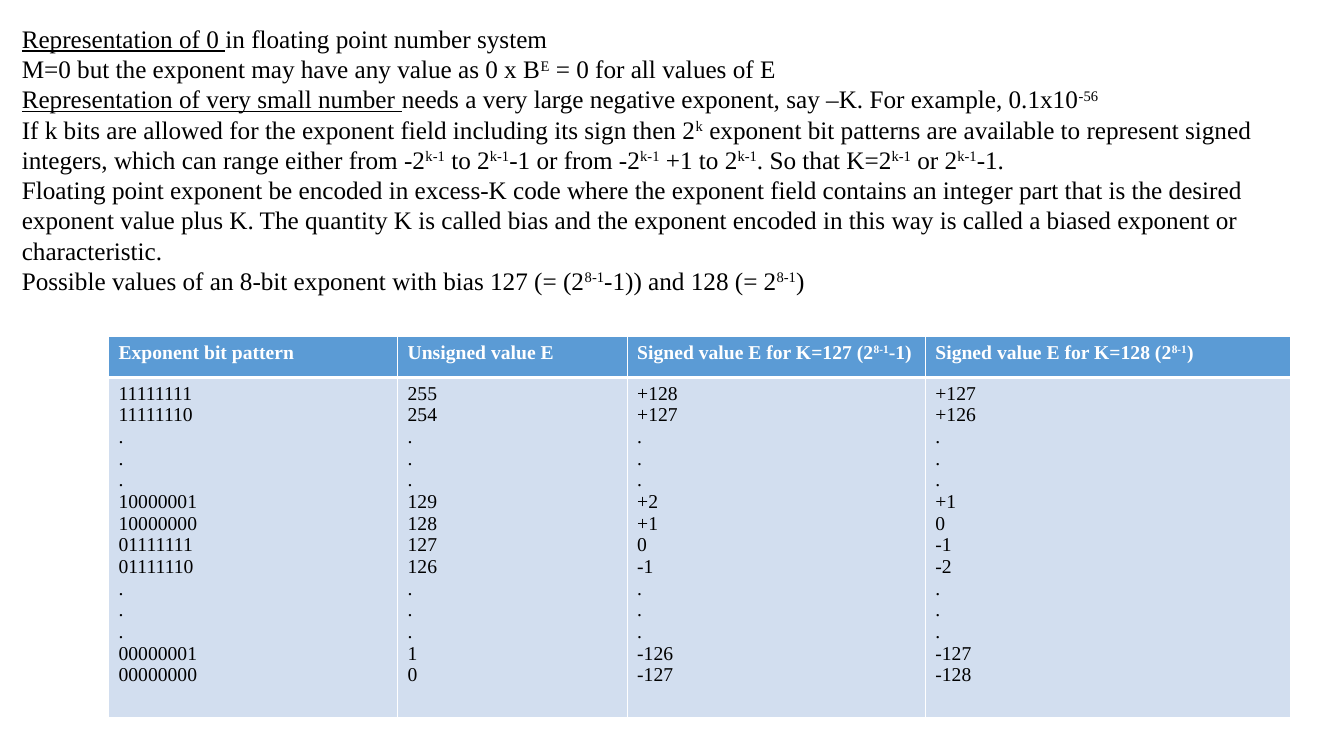
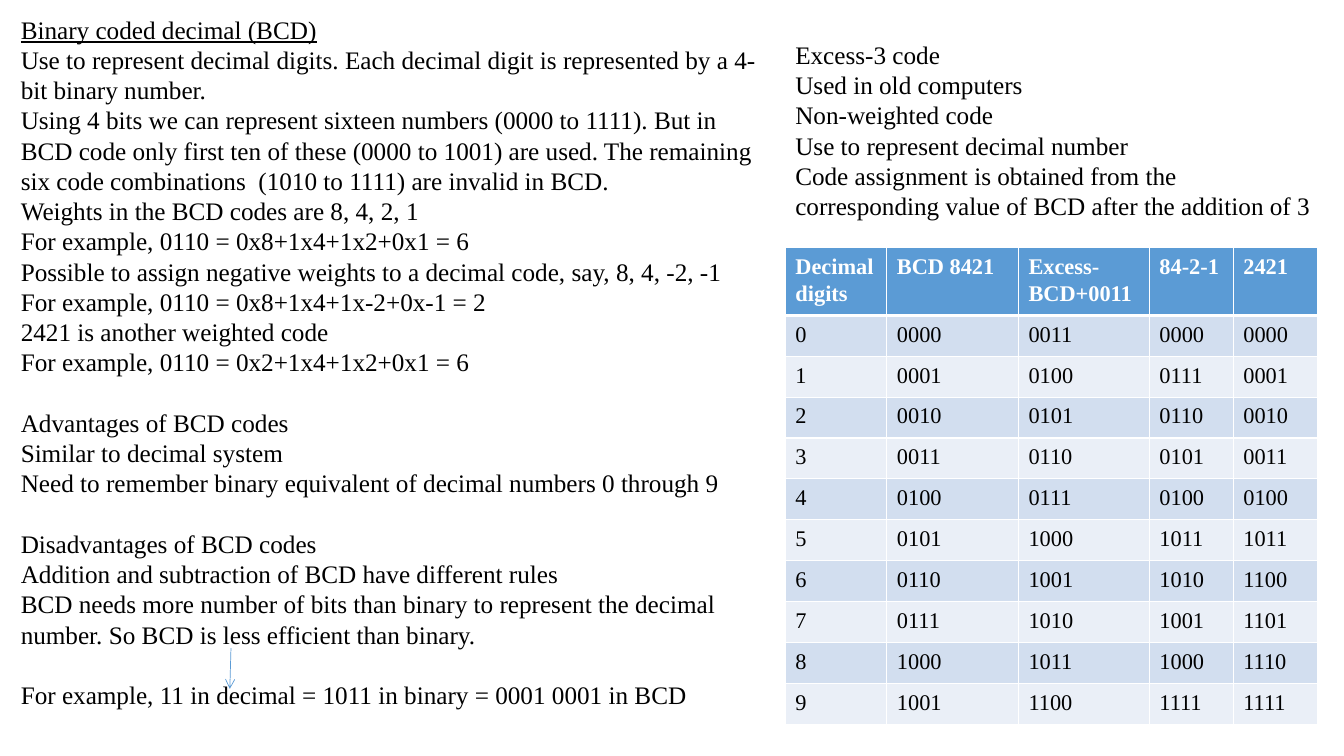
from lxml.etree import SubElement
from pptx import Presentation
from pptx.dml.color import RGBColor
from pptx.enum.shapes import MSO_CONNECTOR
from pptx.oxml.ns import qn
from pptx.util import Pt

FONT = "Times New Roman"
COLORS = {
    "text": "000000",
    "white": "FFFFFF",
    "accent": "5B9BD5",
    "band_dark": "D2DEEF",
    "band_light": "EAEFF7",
}
BODY_SIZE = 18
LINE_HEIGHT = 21.6

EXPONENT_NOTES = [
    "_Representation of 0 _in floating point number system",
    "M=0 but the exponent may have any value as 0 x B^E^ = 0 for all values of E",
    "_Representation of very small number _needs a very large negative exponent, "
    "say –K. For example, 0.1x10^-56^",
    "If k bits are allowed for the exponent field including its sign then 2^k^ exponent "
    "bit patterns are available to represent signed integers, which can range either from "
    "-2^k-1^ to 2^k-1^-1 or from -2^k-1^ +1 to 2^k-1^. So that K=2^k-1^ or 2^k-1^-1.",
    "Floating point exponent be encoded in excess-K code where the exponent field contains "
    "an integer part that is the desired exponent value plus K. The quantity K is called bias "
    "and the exponent encoded in this way is called a biased exponent or characteristic.",
    "Possible values of an 8-bit exponent with bias 127 (= (2^8-1^-1)) and 128 (= 2^8-1^)",
]
EXPONENT_HEADER = [
    "Exponent bit pattern",
    "Unsigned value E",
    "Signed value E for K=127 (2^8-1^-1)",
    "Signed value E for K=128 (2^8-1^)",
]
EXPONENT_GROUPS = [(255, 254), (129, 128, 127, 126), (1, 0)]

BCD_SECTIONS = [
    [
        "_Binary coded decimal (BCD)_",
        "Use to represent decimal digits. Each decimal digit is represented by a 4-bit "
        "binary number.",
        "Using 4 bits we can represent sixteen numbers (0000 to 1111). But in BCD code only "
        "first ten of these (0000 to 1001) are used. The remaining six code combinations  "
        "(1010 to 1111) are invalid in BCD.",
        "Weights in the BCD codes are 8, 4, 2, 1",
        "For example, 0110 = 0x8+1x4+1x2+0x1 = 6",
        "Possible to assign negative weights to a decimal code, say, 8, 4, -2, -1",
        "For example, 0110 = 0x8+1x4+1x-2+0x-1 = 2",
        "2421 is another weighted code",
        "For example, 0110 = 0x2+1x4+1x2+0x1 = 6",
    ],
    [
        "Advantages of BCD codes",
        "Similar to decimal system",
        "Need to remember binary equivalent of decimal numbers 0 through 9",
    ],
    [
        "Disadvantages of BCD codes",
        "Addition and subtraction of BCD have different rules",
        "BCD needs more number of bits than binary to represent the decimal number. "
        "So BCD is less efficient than binary.",
    ],
    ["For example, 11 in decimal = 1011 in binary = 0001 0001 in BCD"],
]
EXCESS_NOTES = [
    "Excess-3 code",
    "Used in old computers",
    "Non-weighted code",
    "Use to represent decimal number",
    "Code assignment is obtained from the corresponding value of BCD after the addition of 3",
]
CODE_HEADER = ["Decimal digits", "BCD 8421", "Excess-BCD+0011", "84-2-1", "2421"]
CODES_84_2_1 = "0000 0111 0110 0101 0100 1011 1010 1001 1000 1111".split()
CODES_2421 = "0000 0001 0010 0011 0100 1011 1100 1101 1110 1111".split()


def color(name):
    return RGBColor.from_string(COLORS[name])


def write_runs(paragraph, text, size, color_name="text", bold=False):
    """Fill a paragraph; ^...^ marks superscript and _..._ marks underline."""
    for i, level in enumerate(text.split("^")):
        for j, piece in enumerate(level.split("_")):
            if not piece:
                continue
            run = paragraph.add_run()
            run.text = piece
            font = run.font
            font.name, font.size, font.bold = FONT, Pt(size), bold
            font.color.rgb = color(color_name)
            if j % 2:
                font.underline = True
            if i % 2:
                run._r.get_or_add_rPr().set("baseline", "30000")


def add_notes(slide, box, sections):
    """Place a text box whose sections are one line apart."""
    shape = slide.shapes.add_textbox(*map(Pt, box))
    frame = shape.text_frame
    frame.word_wrap = True
    paragraph = None
    for section in sections:
        for index, text in enumerate(section):
            is_first = paragraph is None
            paragraph = frame.paragraphs[0] if is_first else frame.add_paragraph()
            paragraph.line_spacing = Pt(LINE_HEIGHT)
            if index == 0 and not is_first:
                paragraph.space_before = Pt(LINE_HEIGHT)
            write_runs(paragraph, text, BODY_SIZE)


def set_borders(cell, top, bottom):
    properties = cell._tc.get_or_add_tcPr()
    for tag, width in (("lnL", 1), ("lnR", 1), ("lnT", top), ("lnB", bottom)):
        line = SubElement(properties, qn(f"a:{tag}"), w=str(Pt(width)))
        fill = SubElement(line, qn("a:solidFill"))
        SubElement(fill, qn("a:srgbClr"), val=COLORS["white"])


def add_banded_table(slide, left, top, widths, heights, rows, size, spacing=None, after=0):
    """Place a table with a header row; line breaks in a cell start new paragraphs."""
    frame = slide.shapes.add_table(
        len(rows), len(widths), Pt(left), Pt(top), Pt(sum(widths)), Pt(sum(heights)))
    table = frame.table
    for column, width in zip(table.columns, widths):
        column.width = Pt(width)
    for row_index, texts in enumerate(rows):
        table.rows[row_index].height = Pt(heights[row_index])
        is_header = row_index == 0
        band = "accent" if is_header else "band_dark" if row_index % 2 else "band_light"
        for cell, text in zip(table.rows[row_index].cells, texts):
            set_borders(cell, 3 if row_index == 1 else 1, 3 if is_header else 1)
            cell.fill.solid()
            cell.fill.fore_color.rgb = color(band)
            for index, line in enumerate(text.split("\n")):
                text_frame = cell.text_frame
                paragraph = text_frame.add_paragraph() if index else text_frame.paragraphs[0]
                if spacing:
                    paragraph.line_spacing = spacing
                    paragraph.space_after = Pt(after)
                write_runs(paragraph, line, size, "white" if is_header else "text", is_header)


def add_arrow(slide, start, end):
    arrow = slide.shapes.add_connector(MSO_CONNECTOR.STRAIGHT, *map(Pt, start + end))
    arrow.line.color.rgb = color("accent")
    arrow.line.width = Pt(0.5)
    SubElement(arrow.line._get_or_add_ln(), qn("a:tailEnd"), type="arrow")
    SubElement(arrow._element.spPr, qn("a:effectLst"))


def exponent_column(form):
    """Join the groups of values, with three dots between groups."""
    groups = ["\n".join(form(value) for value in group) for group in EXPONENT_GROUPS]
    return "\n.\n.\n.\n".join(groups)


def signed(value):
    return f"{value:+d}" if value else "0"


def build_exponent_slide(slide):
    add_notes(slide, (8.5, 13, 914, 204), [EXPONENT_NOTES])
    values = [
        exponent_column(lambda value: f"{value:08b}"),
        exponent_column(str),
        exponent_column(lambda value: signed(value - 127)),
        exponent_column(lambda value: signed(value - 128)),
    ]
    add_banded_table(slide, 77.5, 240.5, [206.5, 164, 213, 261], [29.2, 242],
                     [EXPONENT_HEADER, values], size=14)


def build_bcd_slide(slide):
    right_column = 561
    add_notes(slide, (7.75, 6.5, 542, 509), BCD_SECTIONS)
    add_notes(slide, (right_column, 24.5, 384.5, 138), [EXCESS_NOTES])
    codes = [
        [str(digit), f"{digit:04b}", f"{digit + 3:04b}", CODES_84_2_1[digit], CODES_2421[digit]]
        for digit in range(10)
    ]
    add_banded_table(slide, right_column, 177, [72.5, 94, 93.5, 60, 60], [48] + [29.2] * 10,
                     [CODE_HEADER] + codes, size=16, spacing=1.07, after=8)
    add_arrow(slide, (165, 463), (164.2, 492))


def main():
    presentation = Presentation()
    presentation.slide_width, presentation.slide_height = Pt(960), Pt(540)
    blank = presentation.slide_layouts[6]
    for build in (build_exponent_slide, build_bcd_slide):
        build(presentation.slides.add_slide(blank))
    presentation.save("out.pptx")


if __name__ == "__main__":
    main()
